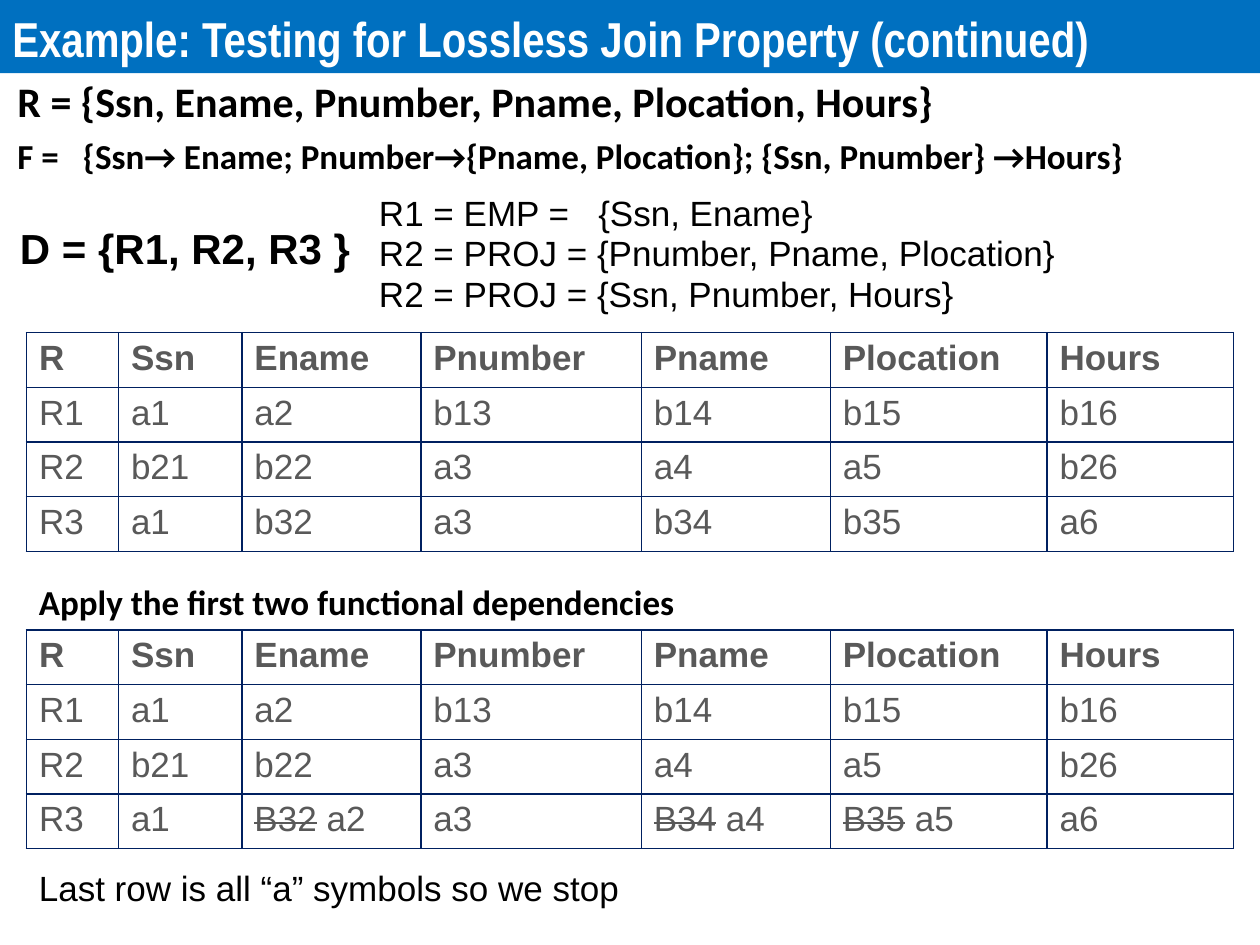
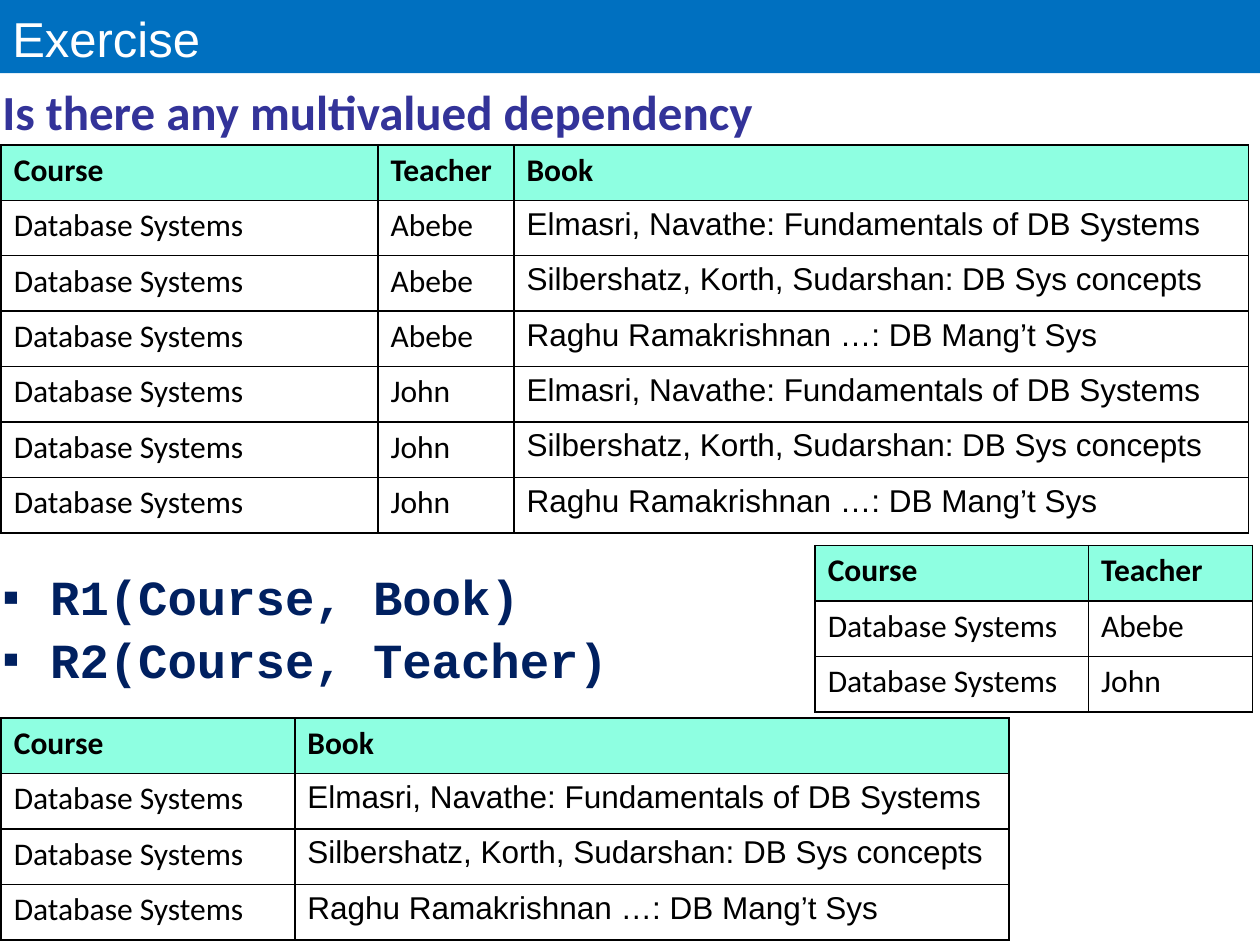
from lxml import etree
from pptx import Presentation
from pptx.dml.color import RGBColor
from pptx.enum.shapes import MSO_SHAPE
from pptx.enum.text import MSO_ANCHOR, PP_ALIGN
from pptx.oxml.ns import qn
from pptx.util import Inches, Pt

RECT, BOTTOM, LEFT = MSO_SHAPE.RECTANGLE, MSO_ANCHOR.BOTTOM, PP_ALIGN.LEFT
BLUE, NAVY, WHITE, BLACK = "0070C0", "002060", "FFFFFF", "000000"
GRAY, MINT, VIOLET = "595959", "8EFFE1", "333399"

# Table looks: text format, border, header fill and font by column title
JOIN = dict(size=20, name="Arial", color=GRAY, edge=NAVY, head=None, fonts={})
BOOKS = dict(size=18, name="Calibri", color=BLACK, edge=BLACK, head=MINT,
             fonts={"Book": "Arial"})


def rgb(code):
    return RGBColor.from_string(code)


def sub(parent, tag, **attrs):
    return etree.SubElement(parent, qn(tag), attrs)


def style(run, size, name, color=BLACK, bold=False):
    fmt = dict(size=Pt(size), name=name, bold=bold)
    for key, value in fmt.items():
        setattr(run.font, key, value)
    run.font.color.rgb = rgb(color)


def write(para, text, **fmt):
    """Add text to a paragraph; parts between tildes are struck through."""
    for i, part in enumerate(text.split("~")):
        if part:
            run = para.add_run()
            run.text = part
            style(run, **fmt)
            if i % 2:
                run._r.get_or_add_rPr().set("strike", "sngStrike")


def label(slide, box, lines, gap=0, **fmt):
    """Place a text box and return its paragraphs."""
    frame = slide.shapes.add_textbox(*map(Inches, box)).text_frame
    frame.word_wrap = True
    for i, text in enumerate(lines):
        para = frame.paragraphs[0] if i == 0 else frame.add_paragraph()
        para.space_before = Pt(gap)
        write(para, text, **fmt)
    return frame.paragraphs


def tab(para, pos):
    stops = sub(para._p.get_or_add_pPr(), "a:tabLst")
    sub(stops, "a:tab", pos=str(Inches(pos)), algn="l")


def bullet(para, mark, indent):
    props = para._p.get_or_add_pPr()
    props.set("marL", str(Inches(indent)))
    props.set("indent", str(-Inches(indent)))
    sub(props, "a:buFont", typeface="Arial")
    sub(props, "a:buChar", char=mark)


def banner(slide, text, spacing=1.0, **fmt):
    """Draw the title band across the top."""
    band = slide.shapes.add_shape(RECT, 0, 0, Inches(10), Inches(0.58))
    band.shadow.inherit = False
    band.fill.solid()
    band.fill.fore_color.rgb = rgb(BLUE)
    band.line.fill.background()
    band.text_frame.vertical_anchor = BOTTOM
    para = band.text_frame.paragraphs[0]
    para.alignment = LEFT
    para.line_spacing = spacing
    write(para, text, size=28, color=WHITE, **fmt)


def border(cell, color):
    props = cell._tc.get_or_add_tcPr()
    for side in "LRTB":
        line = sub(props, f"a:ln{side}", w=str(Pt(1)))
        sub(sub(line, "a:solidFill"), "a:srgbClr", val=color)


def grid(slide, left, top, cols, tall, rows, look):
    """Draw a bordered table with a bold first row."""
    spots = map(Inches, (left, top, sum(cols), tall * len(rows)))
    table = slide.shapes.add_table(len(rows), len(cols), *spots).table
    table.first_row = table.horz_banding = False
    for col, wide in zip(table.columns, cols):
        col.width = Inches(wide)
    for r, row in enumerate(rows):
        table.rows[r].height = Inches(tall)
        for c, text in enumerate(row):
            cell = table.cell(r, c)
            border(cell, look["edge"])
            if r == 0 and look["head"]:
                cell.fill.solid()
                cell.fill.fore_color.rgb = rgb(look["head"])
            else:
                cell.fill.background()
            font = look["fonts"].get(rows[0][c]) if r else None
            write(cell.text_frame.paragraphs[0], text, size=look["size"],
                  name=font or look["name"], color=look["color"], bold=r == 0)


def join_slide(slide):
    # Relation and its dependencies
    fmt = dict(name="Calibri", bold=True)
    label(slide, (0.04, 0.55, 9.92, 0.5),
          ["R = {Ssn, Ename, Pnumber, Pname, Plocation, Hours}"], size=24, **fmt)
    deps = label(slide, (0.04, 1.02, 9.92, 0.44),
                 ["F =\t{Ssn→ Ename; Pnumber→{Pname, Plocation}; "
                  "{Ssn, Pnumber} →Hours}"], size=20, **fmt)
    tab(deps[0], 0.52)

    # Decomposition
    label(slide, (0.06, 1.72, 2.85, 0.5), ["D = {R1, R2, R3 }"],
          size=24, name="Arial", bold=True)
    parts = ["R1 = EMP =\t{Ssn, Ename}",
             "R2 = PROJ = {Pnumber, Pname, Plocation}",
             "R2 = PROJ = {Ssn, Pnumber, Hours}"]
    for i, text in enumerate(parts):
        para = label(slide, (2.91, 1.47 + 0.32 * i, 6.57, 0.44), [text],
                     size=20, name="Arial")[0]
        if "\t" in text:
            tab(para, 1.74)

    # Matrix before and after the dependencies are applied
    cols = [0.73, 0.98, 1.42, 1.75, 1.5, 1.72, 1.48]
    start = [line.split() for line in (
        "R Ssn Ename Pnumber Pname Plocation Hours",
        "R1 a1 a2 b13 b14 b15 b16",
        "R2 b21 b22 a3 a4 a5 b26",
        "R3 a1 b32 a3 b34 b35 a6")]
    last = ["R3", "a1", "~B32~ a2", "a3", "~B34~ a4", "~B35~ a5", "a6"]
    for top, rows in ((2.64, start), (5, start[:-1] + [last])):
        grid(slide, 0.21, top, cols, 0.43, rows, JOIN)
    label(slide, (0.21, 4.56, 6.38, 0.44),
          ["Apply the first two functional dependencies"], size=20, **fmt)
    label(slide, (0.21, 6.83, 6.38, 0.44),
          ["Last row is all “a” symbols so we stop"], size=20, name="Arial")

    banner(slide, "Example: Testing for Lossless Join Property (continued)",
           spacing=0.8, name="Arial Narrow", bold=True)


def exercise_slide(slide):
    banner(slide, "Exercise", name="Arial")
    label(slide, (-0.08, 0.6, 10, 0.57), ["Is there any multivalued dependency"],
          size=28, name="Calibri", color=VIOLET, bold=True)

    # Full relation: every teacher with every book
    course, tall = "Database Systems", 0.44
    staff = ["Abebe", "John"]
    books = ["Elmasri, Navathe: Fundamentals of DB Systems",
             "Silbershatz, Korth, Sudarshan: DB Sys concepts",
             "Raghu Ramakrishnan …: DB Mang’t Sys"]
    full = [(course, who, book) for who in staff for book in books]
    grid(slide, 0.01, 1.15, [2.99, 1.08, 5.83], tall,
         [("Course", "Teacher", "Book")] + full, BOOKS)

    # Split relations
    for para in label(slide, (-0.08, 4.45, 6.25, 1.04),
                      ["R1(Course, Book)", "R2(Course, Teacher)"], gap=2,
                      size=28, name="Courier New", color=NAVY, bold=True):
        bullet(para, "▪", 0.38)
    grid(slide, 6.47, 4.33, [2.17, 1.3], tall,
         [("Course", "Teacher")] + [(course, who) for who in staff], BOOKS)
    grid(slide, 0.01, 5.7, [2.33, 5.67], tall,
         [("Course", "Book")] + [(course, book) for book in books], BOOKS)


def main():
    deck = Presentation()
    deck.slide_width, deck.slide_height = Inches(10), Inches(7.5)
    for build in (join_slide, exercise_slide):
        build(deck.slides.add_slide(deck.slide_layouts[6]))
    deck.save("out.pptx")


if __name__ == "__main__":
    main()
